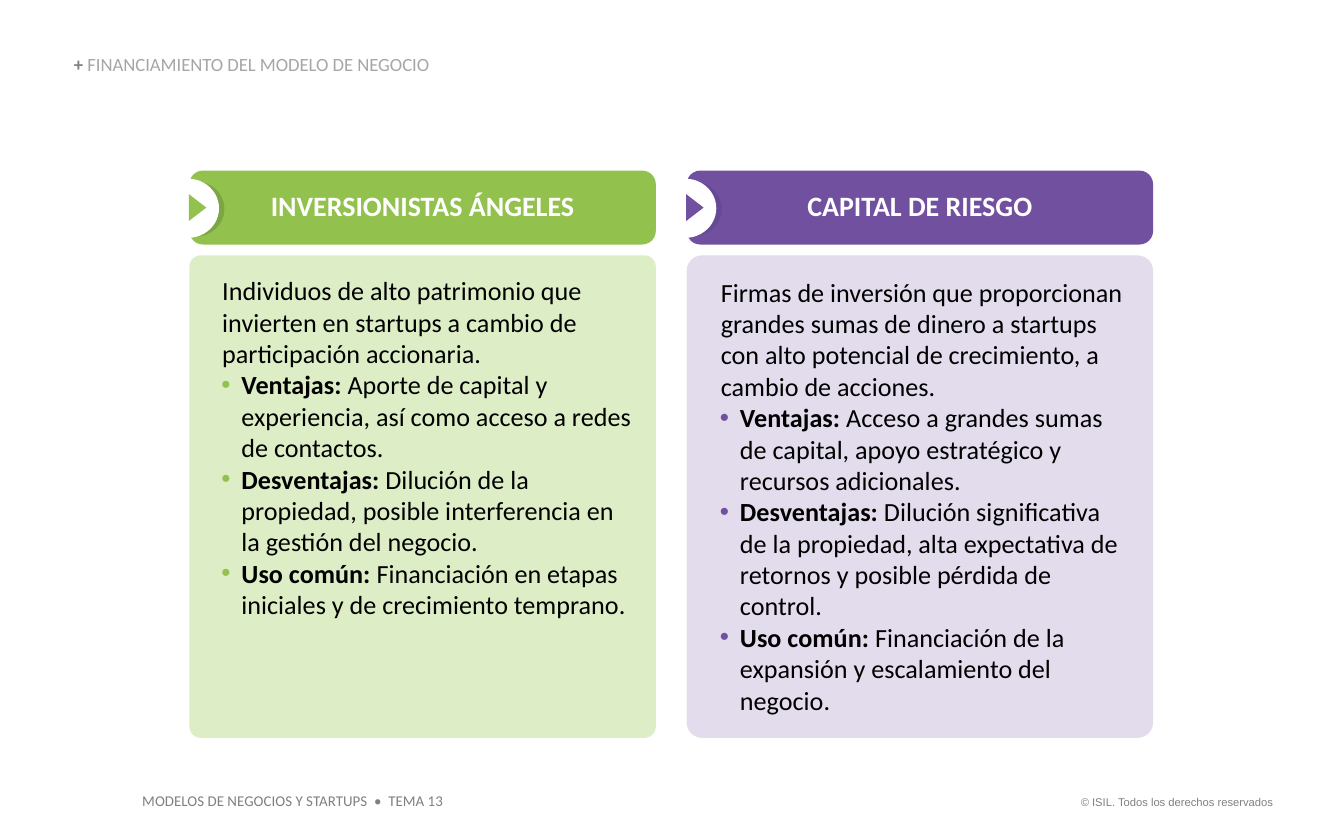
from lxml import etree
from pptx import Presentation
from pptx.dml.color import RGBColor
from pptx.enum.shapes import MSO_SHAPE
from pptx.enum.text import MSO_ANCHOR, MSO_AUTO_SIZE, PP_ALIGN
from pptx.oxml.ns import qn
from pptx.util import Pt

ROUND_RECT = MSO_SHAPE.ROUNDED_RECTANGLE
OVAL = MSO_SHAPE.OVAL
TRIANGLE = MSO_SHAPE.ISOSCELES_TRIANGLE
LEFT, CENTER, RIGHT = PP_ALIGN.LEFT, PP_ALIGN.CENTER, PP_ALIGN.RIGHT
TOP, MIDDLE, BOTTOM = MSO_ANCHOR.TOP, MSO_ANCHOR.MIDDLE, MSO_ANCHOR.BOTTOM
FIT_SHAPE = MSO_AUTO_SIZE.SHAPE_TO_FIT_TEXT

WHITE = RGBColor(0xFF, 0xFF, 0xFF)
BLACK = RGBColor(0x00, 0x00, 0x00)
GRAY = RGBColor(0x80, 0x80, 0x80)
LIGHT_GRAY = RGBColor(0xA6, 0xA6, 0xA6)
PURPLE = RGBColor(0x71, 0x50, 0xA0)
DARK_PURPLE = RGBColor(0x66, 0x49, 0x95)
PALE_PURPLE = RGBColor(0xE3, 0xDC, 0xED)
GREEN = RGBColor(0x92, 0xC1, 0x4E)
DARK_GREEN = RGBColor(0x7C, 0xA5, 0x44)
PALE_GREEN = RGBColor(0xDD, 0xEE, 0xC7)

CARD_W = 249.84


class SlideBuilder:
    font = "Calibri"

    def __init__(self, slide):
        self.s = slide

    def run(self, p, text, size, color, bold=False, font=None):
        r = p.add_run()
        r.text = text
        r.font.name = font or self.font
        r.font.size = Pt(size)
        r.font.bold = bold
        r.font.color.rgb = color

    def frame(self, sp, insets, anchor=TOP, wrap=True):
        tf = sp.text_frame
        tf.word_wrap = wrap
        tf.vertical_anchor = anchor
        tf.margin_left, tf.margin_top, tf.margin_right, tf.margin_bottom = map(Pt, insets)
        return tf

    def text(self, box, runs, align=LEFT, anchor=TOP, insets=(7.2, 3.6, 7.2, 3.6),
             wrap=False, spacing=None):
        sp = self.s.shapes.add_textbox(*map(Pt, box))
        tf = self.frame(sp, insets, anchor, wrap)
        tf.auto_size = FIT_SHAPE
        p = tf.paragraphs[0]
        p.alignment = align
        p.line_spacing = spacing
        for args in runs:
            self.run(p, *args)

    def shape(self, kind, box, fill, adj=None, rotation=0):
        sp = self.s.shapes.add_shape(kind, *map(Pt, box))
        sp.shadow.inherit = False
        sp.fill.solid()
        sp.fill.fore_color.rgb = fill
        sp.line.fill.background()
        sp.rotation = rotation
        if adj is not None:
            sp.adjustments[0] = adj
        return sp

    def indent(self, p, left, hanging=0, bullet_color=None):
        pPr = p._p.get_or_add_pPr()
        pPr.set("marL", str(Pt(left)))
        pPr.set("indent", str(-Pt(hanging)))
        if bullet_color is not None:
            clr = etree.SubElement(pPr, qn("a:buClr"))
            etree.SubElement(clr, qn("a:srgbClr")).set("val", str(bullet_color))
            etree.SubElement(pPr, qn("a:buFont")).set("typeface", "Arial")
            etree.SubElement(pPr, qn("a:buChar")).set("char", "•")

    def header(self, x, title, color):
        sp = self.shape(ROUND_RECT, (x, 91.4, CARD_W, 39.6), color, 0.183)
        p = self.frame(sp, (7.2, 3.6, 7.2, 3.6), MIDDLE).paragraphs[0]
        p.alignment = CENTER
        p.line_spacing = 0.9
        self.run(p, title, 15, WHITE, True)

    def body(self, x, intro, points, color, pale, adj):
        sp = self.shape(ROUND_RECT, (x, 136.8, CARD_W, 258.5), pale, adj)
        tf = self.frame(sp, (8.64, 8.64, 8.64, 3.6))
        p = tf.paragraphs[0]
        self.indent(p, 7.2)
        self.run(p, intro, 14, BLACK)
        for label, detail in points:
            p = tf.add_paragraph()
            self.indent(p, 17.5, 10.8, color)
            self.run(p, label + ": ", 14, BLACK, True)
            self.run(p, detail, 14, BLACK)
        for p in tf.paragraphs:
            p.level = 1
            p.alignment = LEFT

    def badge(self, x, color, dark):
        self.shape(OVAL, (x - 12.24, 97.2, 30.96, 29.52), dark)
        self.shape(OVAL, (x - 17.28, 95.76, 33.12, 31.68), WHITE)
        self.shape(TRIANGLE, (x - 2.88, 106.56, 14.4, 9.36), color, rotation=90)

    def card(self, x, title, intro, points, color, dark, pale, adj):
        self.header(x, title, color)
        self.body(x, intro, points, color, pale, adj)
        self.badge(x, color, dark)


CARDS = [
    (367.92, "CAPITAL DE RIESGO",
     "Firmas de inversión que proporcionan grandes sumas de dinero a startups "
     "con alto potencial de crecimiento, a cambio de acciones.",
     [("Ventajas", "Acceso a grandes sumas de capital, apoyo estratégico y recursos adicionales."),
      ("Desventajas", "Dilución significativa de la propiedad, alta expectativa de retornos "
                      "y posible pérdida de control."),
      ("Uso común", "Financiación de la expansión y escalamiento del negocio.")],
     PURPLE, DARK_PURPLE, PALE_PURPLE, 0.033),
    (101.52, "INVERSIONISTAS ÁNGELES",
     "Individuos de alto patrimonio que invierten en startups a cambio de "
     "participación accionaria.",
     [("Ventajas", "Aporte de capital y experiencia, así como acceso a redes de contactos."),
      ("Desventajas", "Dilución de la propiedad, posible interferencia en la gestión del negocio."),
      ("Uso común", "Financiación en etapas iniciales y de crecimiento temprano.")],
     GREEN, DARK_GREEN, PALE_GREEN, 0.024),
]


def main():
    prs = Presentation()
    prs.slide_width, prs.slide_height = Pt(720), Pt(450)
    b = SlideBuilder(prs.slides.add_slide(prs.slide_layouts[6]))

    # Footer
    b.text((567.4, 422.6, 121.7, 14.4),
           [("© ISIL. Todos los derechos reservados", 6, GRAY, False, "Arial")], RIGHT)
    b.text((69.1, 420.5, 176.4, 17.3),
           [("MODELOS DE NEGOCIOS Y STARTUPS  •  TEMA 13", 8, GRAY)])

    # Section title
    b.text((39.6, 29.5, 306, 10.8),
           [("+ ", 10, GRAY, True), ("FINANCIAMIENTO DEL MODELO DE NEGOCIO", 10, LIGHT_GRAY)],
           anchor=BOTTOM, insets=(0, 0, 0, 0), wrap=True, spacing=0.9)

    # Comparison cards
    for card in CARDS:
        b.card(*card)

    prs.save("out.pptx")


if __name__ == "__main__":
    main()
